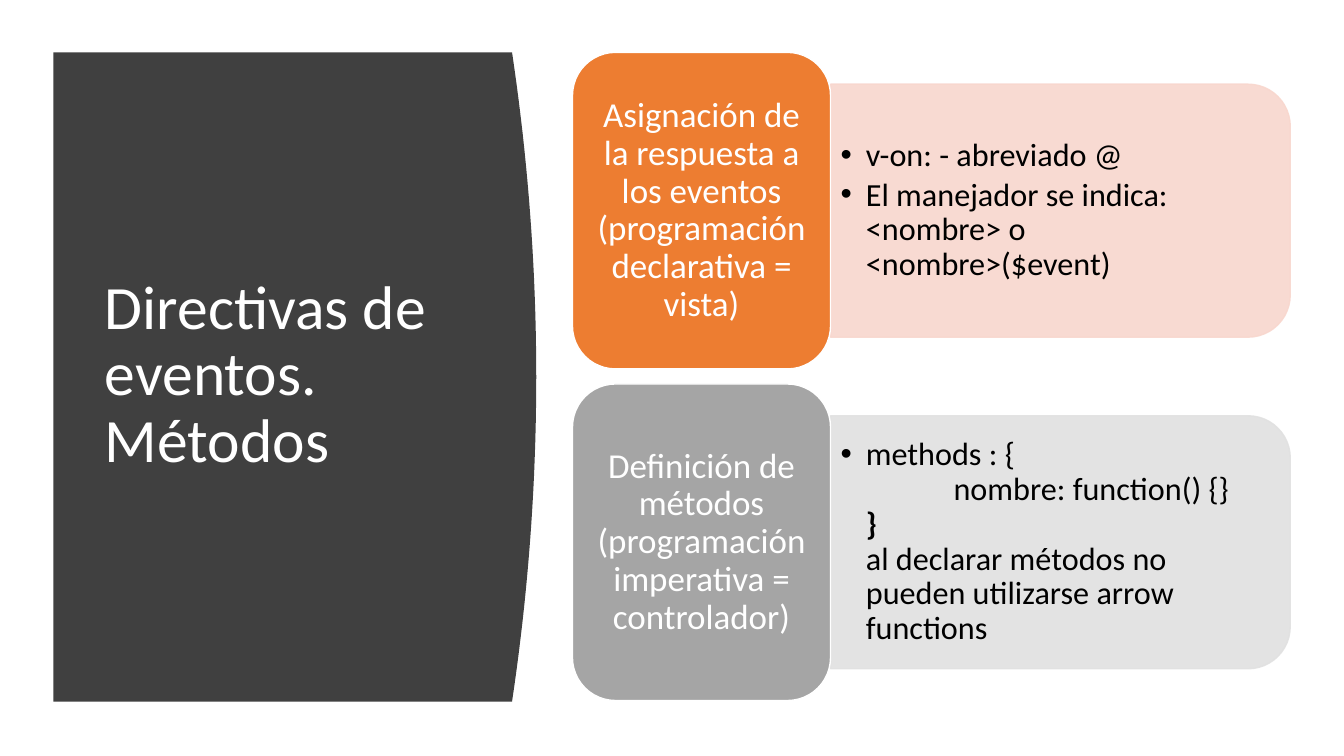
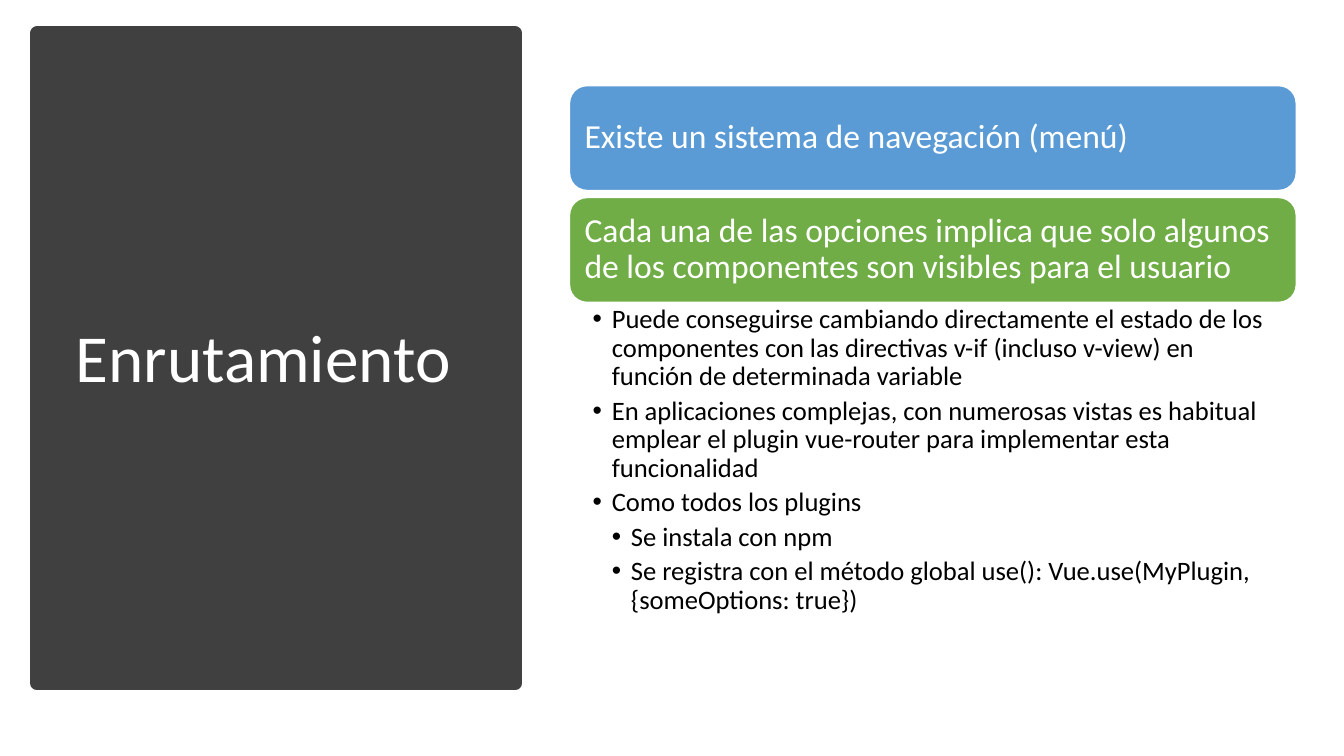
from pptx import Presentation
from pptx.dml.color import RGBColor
from pptx.enum import shapes, text as text_enum
from pptx.oxml import ns, xmlchemy
from pptx.util import Emu, Inches, Pt

FONT = "Calibri"
DARK, WHITE, BLACK = "404040", "FFFFFF", "000000"
TWO_CONTENT, TITLE_AND_CONTENT = 3, 1
CURVE_STEPS = 40


def color(value):
    """Turn a hex string into a colour."""
    return RGBColor.from_string(value)


def add_child(parent, tag, **attributes):
    """Append a drawing element with attributes to a parent element."""
    child = xmlchemy.OxmlElement(tag)
    for name, value in attributes.items():
        child.set(name, str(value))
    parent.append(child)


def paint(shape, fill, line=None, width=1, opacity=None):
    """Give a shape its fill, line and opacity, without shadow."""
    shape.shadow.inherit = False
    shape.fill.solid()
    shape.fill.fore_color.rgb = color(fill)
    if line:
        shape.line.color.rgb = color(line)
        shape.line.width = Pt(width)
    else:
        shape.line.fill.background()
    if opacity is not None:
        for element in list(shape.element.spPr.iter(ns.qn("a:srgbClr"))):
            add_child(element, "a:alpha", val=opacity * 1000)


def write_text(frame, content, size, fill=WHITE, align=text_enum.PP_ALIGN.LEFT,
               after=0, bullet_indent=None, level=0, tab=None):
    """Add one paragraph, given as a string or as (text, bold) runs."""
    paragraph = frame.paragraphs[0] if not frame.text else frame.add_paragraph()
    properties = paragraph._p.get_or_add_pPr()
    if tab:
        properties.set("defTabSz", str(Inches(tab)))
    if bullet_indent:
        properties.set("marL", str(Inches(bullet_indent * (level + 1))))
        properties.set("indent", str(-Inches(bullet_indent)))
        add_child(properties, "a:buFont", typeface="Arial")
        add_child(properties, "a:buChar", char="•")
    paragraph.level = level
    paragraph.alignment = align
    paragraph.line_spacing = 0.9
    paragraph.space_before = Pt(0)
    paragraph.space_after = Pt(after)
    runs = [(content, False)] if isinstance(content, str) else content
    for run_text, bold in runs:
        for index, line in enumerate(run_text.split("\n")):
            if index:
                paragraph.add_line_break()
            if line:
                run = paragraph.add_run()
                run.text = line
                run.font.name = FONT
                run.font.size = Pt(size)
                run.font.bold = bold
                run.font.color.rgb = color(fill)


def set_frame(shape, anchor=text_enum.MSO_ANCHOR.MIDDLE, insets=(0.1, 0.05, 0.1, 0.05)):
    """Prepare the text frame of a shape and return it."""
    frame = shape.text_frame
    frame.word_wrap = True
    frame.auto_size = text_enum.MSO_AUTO_SIZE.NONE
    frame.vertical_anchor = anchor
    frame.margin_left, frame.margin_top, frame.margin_right, frame.margin_bottom = map(Inches, insets)
    return frame


def place(placeholder, box):
    """Move a placeholder to a box, in front of the shapes drawn so far."""
    placeholder.left, placeholder.top, placeholder.width, placeholder.height = map(Inches, box)
    placeholder.element.getparent().append(placeholder.element)


def add_title(slide, title, box, size):
    """Write the slide title over its dark panel."""
    place(slide.shapes.title, box)
    write_text(set_frame(slide.shapes.title), title, size)


def add_curved_panel(slide, box, bulge):
    """Draw a dark panel whose right edge bows outwards."""
    left, top, width, height = box
    edge = left + width - bulge
    points = [(left, top)]
    for step in range(CURVE_STEPS + 1):
        part = step / CURVE_STEPS
        points.append((edge + bulge * (1 - (2 * part - 1) ** 2), top + height * part))
    points.append((left, top + height))
    start, *others = [(Inches(x), Inches(y)) for x, y in points]
    builder = slide.shapes.build_freeform(*start)
    builder.add_line_segments(others, close=True)
    paint(builder.convert_to_shape(), DARK)


def add_label(slide, box, label, fill, size, insets, align=text_enum.PP_ALIGN.LEFT):
    """Draw a rounded box with white text."""
    shape = slide.shapes.add_shape(shapes.MSO_SHAPE.ROUNDED_RECTANGLE, *map(Inches, box))
    paint(shape, fill, WHITE)
    write_text(set_frame(shape, insets=insets), label, size, align=align)


def add_topic_row(slide, box, placeholder, label, items, fill, tint):
    """Draw a coloured label with a tinted list panel on its right."""
    left, top, width, height = box
    label_width, panel_height = 2.56, 2.51
    panel_left, panel_width = left + label_width, width - label_width
    middle = top + height / 2
    panel = slide.shapes.add_shape(
        shapes.MSO_SHAPE.ROUND_2_SAME_RECTANGLE,
        Inches(panel_left + (panel_width - panel_height) / 2), Inches(middle - panel_width / 2),
        Inches(panel_height), Inches(panel_width))
    panel.rotation = 90
    paint(panel, tint, tint, opacity=90)
    add_label(slide, (left, top, label_width, height), label, fill, 25,
              (0.1, 0.05, 0.1, 0.05), text_enum.PP_ALIGN.CENTER)
    list_height = 2.27
    place(placeholder, (panel_left, middle - list_height / 2, panel_width - 0.12, list_height))
    frame = set_frame(placeholder)
    for item in items:
        write_text(frame, item, 23, BLACK, after=3.5, bullet_indent=0.25, tab=1.12)


def build_events_slide(presentation):
    """Build the slide on event directives and methods."""
    slide = presentation.slides.add_slide(presentation.slide_layouts[TWO_CONTENT])
    add_curved_panel(slide, (0.53, 0.52, 4.79, 6.44), 0.24)
    add_title(slide, "Directivas de eventos. Métodos", (0.94, 1.11, 3.74, 5.24), 44)
    topics = [
        ("Asignación de la respuesta a los eventos\n(programación declarativa = vista)",
         ["v-on: - abreviado @", "El manejador se indica: <nombre> o <nombre>($event)"],
         "ED7D31", "F8D7CE"),
        ("Definición de métodos\n(programación imperativa = controlador)",
         [[("methods : {\n\tnombre: function() {}\n", False), ("}\n", True),
           ("al declarar métodos no pueden utilizarse arrow functions", False)]],
         "A5A5A5", "E1E1E1"),
    ]
    for index, topic in enumerate(topics):
        box = (5.68, 0.52 + 3.29 * index, 7.12, 3.14)
        add_topic_row(slide, box, slide.placeholders[index + 1], *topic)


def add_banner_list(slide, box, banners, items):
    """Stack coloured banners and put a bulleted list under them."""
    left, top, width, height = box
    banner_height, pitch = 1.04, 1.11
    for index, (label, fill) in enumerate(banners):
        add_label(slide, (left, top + pitch * index, width, banner_height), label, fill, 24, (0.1,) * 4)
    offset = pitch * (len(banners) - 1) + banner_height
    body = slide.placeholders[1]
    place(body, (left, top + offset, width, height - offset))
    frame = set_frame(body, text_enum.MSO_ANCHOR.TOP, (0.23, 0.03, 0.19, 0.03))
    for item, level in items:
        write_text(frame, item, 19, BLACK, after=4, bullet_indent=0.19, level=level)


def build_routing_slide(presentation):
    """Build the slide on routing."""
    slide = presentation.slides.add_slide(presentation.slide_layouts[TITLE_AND_CONTENT])
    panel = slide.shapes.add_shape(shapes.MSO_SHAPE.RECTANGLE, *map(Inches, (0.37, 0.33, 4.74, 6.45)))
    paint(panel, DARK, DARK, 10)
    add_title(slide, "Enrutamiento", (0.65, 0.7, 4.16, 5.75), 48)
    banners = [
        ("Existe un sistema de navegación (menú)", "5B9BD5"),
        ("Cada una de las opciones implica que solo algunos de los componentes "
         "son visibles para el usuario", "70AD47"),
    ]
    items = [
        ("Puede conseguirse cambiando directamente el estado de los componentes con las "
         "directivas v-if (incluso v-view) en función de determinada variable", 0),
        ("En aplicaciones complejas, con numerosas vistas es habitual emplear el plugin "
         "vue-router para implementar esta funcionalidad", 0),
        ("Como todos los plugins", 0),
        ("Se instala con npm", 1),
        ("Se registra con el método global use(): Vue.use(MyPlugin, {someOptions: true})", 1),
    ]
    add_banner_list(slide, (5.65, 0.85, 7.21, 5.42), banners, items)


def main():
    """Build and save the presentation."""
    presentation = Presentation()
    presentation.slide_width = Emu(12192000)
    presentation.slide_height = Inches(7.5)
    build_events_slide(presentation)
    build_routing_slide(presentation)
    presentation.save("out.pptx")


if __name__ == "__main__":
    main()
